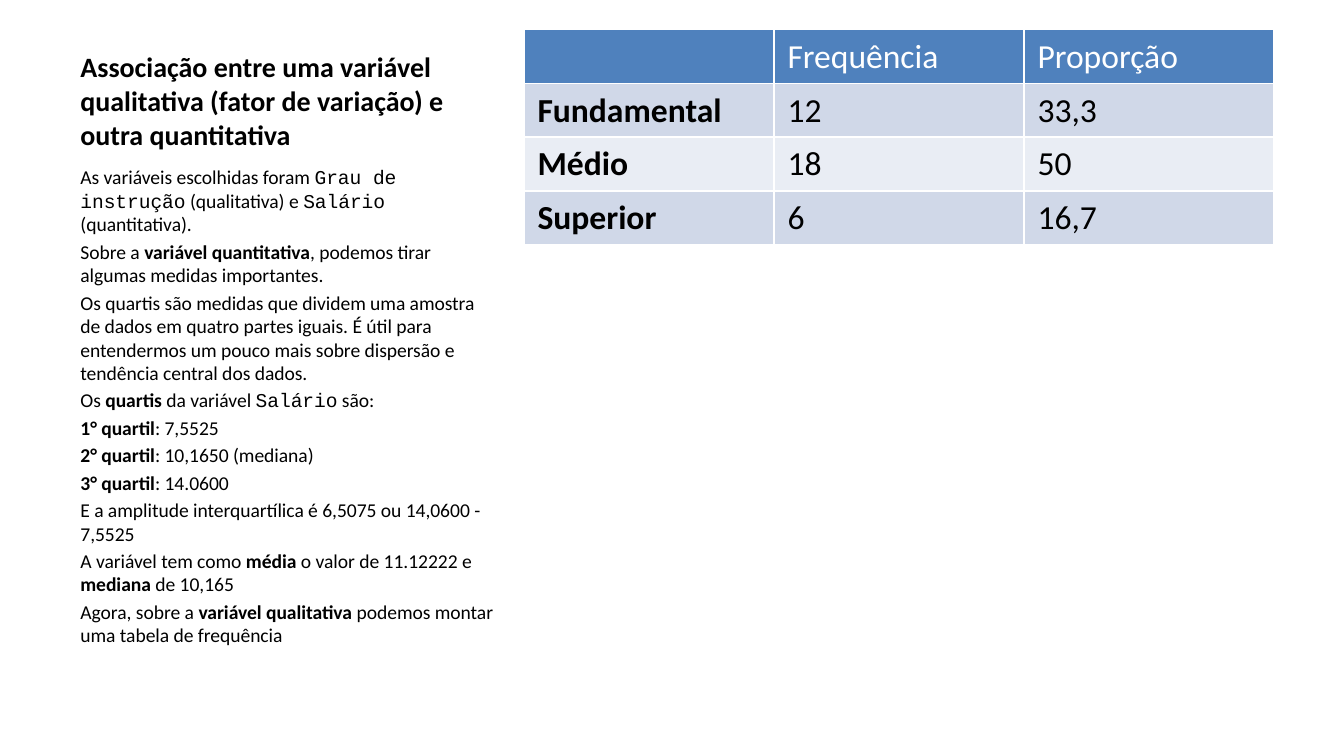
"""Build a slide on quartiles of salary and frequencies of education level."""
from typing import NamedTuple

from pptx import Presentation
from pptx.dml.color import RGBColor
from pptx.enum.text import MSO_ANCHOR
from pptx.util import Inches, Pt

TOP = MSO_ANCHOR.TOP
BOTTOM = MSO_ANCHOR.BOTTOM
BLACK = RGBColor(0x00, 0x00, 0x00)
WHITE = RGBColor(0xFF, 0xFF, 0xFF)
HEADER_BLUE = RGBColor(0x4F, 0x81, 0xBD)
BAND_DARK = RGBColor(0xD0, 0xD8, 0xE8)
BAND_LIGHT = RGBColor(0xE9, 0xED, 0xF4)
BODY_FONT = "Calibri"
CODE_FONT = "Courier New"


class Span(NamedTuple):
    text: str
    bold: bool = False
    font: str = BODY_FONT


class Area(NamedTuple):
    left: float
    top: float
    width: float
    height: float


def strong(text: str) -> Span:
    return Span(text, bold=True)


def code(text: str) -> Span:
    return Span(text, font=CODE_FONT)


TITLE = [[strong("Associação entre uma variável qualitativa (fator de variação) e outra quantitativa")]]
BODY = [
    [Span("As variáveis escolhidas foram "), code("Grau de instrução"),
     Span(" (qualitativa) e "), code("Salário"), Span(" (quantitativa).")],
    [Span("Sobre a "), strong("variável quantitativa"),
     Span(", podemos tirar algumas medidas importantes.")],
    [Span("Os quartis são medidas que dividem uma amostra de dados em quatro partes iguais. "
          "É útil para entendermos um pouco mais sobre dispersão e tendência central dos dados.")],
    [Span("Os "), strong("quartis"), Span(" da variável "), code("Salário"), Span(" são:")],
    [strong("1° quartil"), Span(": 7,5525")],
    [strong("2° quartil"), Span(": 10,1650 (mediana)")],
    [strong("3° quartil"), Span(": 14.0600")],
    [Span("E a amplitude interquartílica é 6,5075 ou 14,0600 - 7,5525")],
    [Span("A variável tem como "), strong("média"), Span(" o valor de 11.12222 e "),
     strong("mediana"), Span(" de 10,165")],
    [Span("Agora, sobre a "), strong("variável qualitativa"),
     Span(" podemos montar uma tabela de frequência")],
]
FREQUENCIES = [
    ["", "Frequência", "Proporção"],
    ["Fundamental", "12", "33,3"],
    ["Médio", "18", "50"],
    ["Superior", "6", "16,7"],
]


def write_paragraph(para, spans: list[Span], *, size: float, color: RGBColor = BLACK,
                    space_before: float = 0) -> None:
    para.space_before = Pt(space_before)
    for span in spans:
        run = para.add_run()
        run.text = span.text
        run.font.name = span.font
        run.font.size = Pt(size)
        run.font.bold = span.bold
        run.font.color.rgb = color


def add_text(page, area: Area, paragraphs: list[list[Span]], *, size: float,
             anchor: MSO_ANCHOR = TOP, space_before: float = 0) -> None:
    box = page.shapes.add_textbox(*map(Inches, area))
    frame = box.text_frame
    frame.word_wrap = True
    frame.vertical_anchor = anchor
    for index, spans in enumerate(paragraphs):
        para = frame.add_paragraph() if index else frame.paragraphs[0]
        write_paragraph(para, spans, size=size, space_before=space_before)


def add_frequency_table(page, area: Area, rows: list[list[str]]) -> None:
    holder = page.shapes.add_table(len(rows), len(rows[0]), *map(Inches, area))
    table = holder.table
    for row_index, row in enumerate(rows):
        table.rows[row_index].height = Inches(0)
        is_header = row_index == 0
        band = BAND_DARK if row_index % 2 else BAND_LIGHT
        for column_index, text in enumerate(row):
            cell = table.cell(row_index, column_index)
            cell.fill.solid()
            cell.fill.fore_color.rgb = HEADER_BLUE if is_header else band
            if text:
                label = Span(text, bold=column_index == 0)
                write_paragraph(cell.text_frame.paragraphs[0], [label], size=18,
                                color=WHITE if is_header else BLACK)
    holder.height = Inches(area.height)


def main() -> None:
    deck = Presentation()
    deck.slide_width = Inches(10)
    deck.slide_height = Inches(10 * 9 / 16)
    page = deck.slides.add_slide(deck.slide_layouts[6])
    add_text(page, Area(0.5, 0.22, 3.29, 0.95), TITLE, size=15, anchor=BOTTOM)
    add_text(page, Area(0.5, 1.18, 3.29, 3.85), BODY, size=10.5, space_before=2.1)
    add_frequency_table(page, Area(3.9, 0.22, 5.58, 4.79), FREQUENCIES)
    deck.save("out.pptx")


if __name__ == "__main__":
    main()
